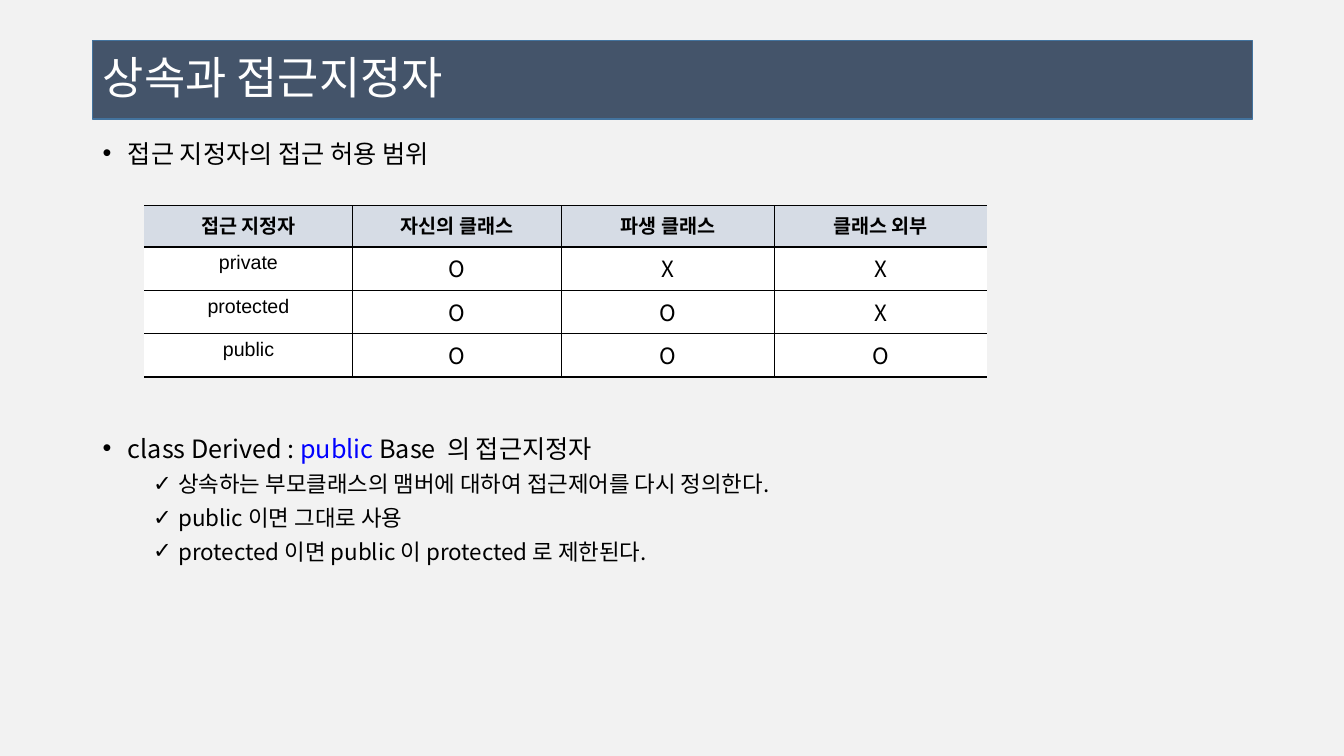
import pptx
import pptx.util
from pptx.dml.color import RGBColor
from pptx.enum.text import MSO_ANCHOR, MSO_AUTO_SIZE, PP_ALIGN
from pptx.oxml import parse_xml
from pptx.oxml.ns import nsdecls, qn
from pptx.util import Inches, Pt

BACKGROUND = RGBColor(0xF2, 0xF2, 0xF2)
SLATE = RGBColor(0x44, 0x54, 0x6A)
STEEL = RGBColor(0x43, 0x73, 0x9E)
HEADER_FILL = RGBColor(0xD6, 0xDC, 0xE5)
WHITE = RGBColor(0xFF, 0xFF, 0xFF)
BLACK = RGBColor(0, 0, 0)
BLUE = RGBColor(0, 0, 0xFF)
KOREAN = "Noto Sans CJK KR"
LATIN = "Arial"

ITEM = {"bullet": "•", "left": 0.25, "size": 18, "before": 10}
CHECK = {"bullet": "✓", "left": 0.75, "size": 16, "before": 5}
BODY = [
    (ITEM, [("접근 지정자의 접근 허용 범위", BLACK)]),
    # The wide gap leaves room for the table.
    ({**ITEM, "before": 189}, [("class Derived : ", BLACK), ("public", BLUE),
                               (" Base  의 접근지정자", BLACK)]),
    (CHECK, [("상속하는 부모클래스의 맴버에 대하여 접근제어를 다시 정의한다.", BLACK)]),
    (CHECK, [("public 이면 그대로 사용", BLACK)]),
    (CHECK, [("protected 이면 public 이 protected 로 제한된다.", BLACK)]),
]
ACCESS = [
    ["접근 지정자", "자신의 클래스", "파생 클래스", "클래스 외부"],
    ["private", "O", "X", "X"],
    ["protected", "O", "O", "X"],
    ["public", "O", "O", "O"],
]
COLUMN_WIDTHS = [2.07, 2.07, 2.11, 2.11]
ROW_HEIGHTS = [0.41, 0.43, 0.43, 0.43]


def set_values(target, values):
    for name, value in values.items():
        setattr(target, name, value)


class AccessSlide:
    """Holds the text style and the page being built."""

    def __init__(self, deck):
        self.page = deck.slides.add_slide(deck.slide_layouts[5])
        fill = self.page.background.fill
        fill.solid()
        fill.fore_color.rgb = BACKGROUND

    def span(self, para, text, size, color=BLACK, font=KOREAN, bold=False):
        span = para.add_run()
        span.text = text
        set_values(span.font, {"size": Pt(size), "name": font, "bold": bold})
        span.font.color.rgb = color
        span.font._element.append(
            parse_xml(f'<a:ea {nsdecls("a")} typeface="{KOREAN}"/>'))

    def title(self, text, left, top, width, height):
        box = self.page.shapes.title
        set_values(box, {"left": Inches(left), "top": Inches(top),
                         "width": Inches(width), "height": Inches(height)})
        box.fill.solid()
        box.fill.fore_color.rgb = SLATE
        box.line.color.rgb = STEEL
        box.line.width = Pt(1)
        set_values(box.text_frame, {"vertical_anchor": MSO_ANCHOR.MIDDLE, "word_wrap": True,
                                    "auto_size": MSO_AUTO_SIZE.NONE})
        para = box.text_frame.paragraphs[0]
        set_values(para, {"alignment": PP_ALIGN.LEFT, "line_spacing": 0.9})
        self.span(para, text, 32, WHITE)

    def bullets(self, items, left, top, width, height):
        box = self.page.shapes.add_textbox(
            Inches(left), Inches(top), Inches(width), Inches(height))
        frame = box.text_frame
        frame.word_wrap = True
        for index, (style, parts) in enumerate(items):
            para = frame.add_paragraph() if index else frame.paragraphs[0]
            set_values(para, {"line_spacing": 1.0, "space_before": Pt(style["before"])})
            properties = para._p.get_or_add_pPr()
            properties.set("marL", str(Inches(style["left"])))
            properties.set("indent", str(Inches(-0.25)))
            properties.append(parse_xml(f'<a:buFont {nsdecls("a")} typeface="{LATIN}"/>'))
            properties.append(parse_xml(f'<a:buChar {nsdecls("a")} char="{style["bullet"]}"/>'))
            for text, color in parts:
                self.span(para, text, style["size"], color)

    def borders(self, cell, open_sides):
        """Draw black cell borders, except on the open sides."""
        properties = cell._tc.get_or_add_tcPr()
        for index, side in enumerate("LRTB"):
            paint = ("<a:noFill/>" if side in open_sides else
                     f'<a:solidFill><a:srgbClr val="{BLACK}"/></a:solidFill>')
            properties.insert(index, parse_xml(
                f'<a:ln{side} {nsdecls("a")} w="{Pt(1)}">{paint}</a:ln{side}>'))

    def table(self, rows, left, top, widths, heights):
        table = self.page.shapes.add_table(
            len(rows), len(widths), Inches(left), Inches(top),
            Inches(sum(widths)), Inches(sum(heights))).table
        table.horz_banding = False
        for column, width in zip(table.columns, widths):
            column.width = Inches(width)
        for row, height in zip(table.rows, heights):
            row.height = Inches(height)
        for r, texts in enumerate(rows):
            for c, text in enumerate(texts):
                cell = table.cell(r, c)
                cell.fill.solid()
                cell.fill.fore_color.rgb = WHITE if r else HEADER_FILL
                self.borders(cell, {0: "L", len(widths) - 1: "R"}.get(c, ""))
                para = cell.text_frame.paragraphs[0]
                para.alignment = PP_ALIGN.CENTER
                is_mark = r > 0 and c > 0
                self.span(para, text, 16 if is_mark else 14,
                          font=KOREAN if is_mark else LATIN, bold=r == 0)


def main():
    deck = pptx.Presentation()
    set_values(deck, {"slide_width": Inches(13.33), "slide_height": Inches(7.5)})
    slide = AccessSlide(deck)
    slide.title("상속과 접근지정자", 0.92, 0.4, 11.5, 0.78)
    slide.bullets(BODY, 0.92, 1.32, 11.5, 5.61)
    slide.table(ACCESS, 1.43, 2.04, COLUMN_WIDTHS, ROW_HEIGHTS)
    deck.save("out.pptx")


if __name__ == "__main__":
    main()
